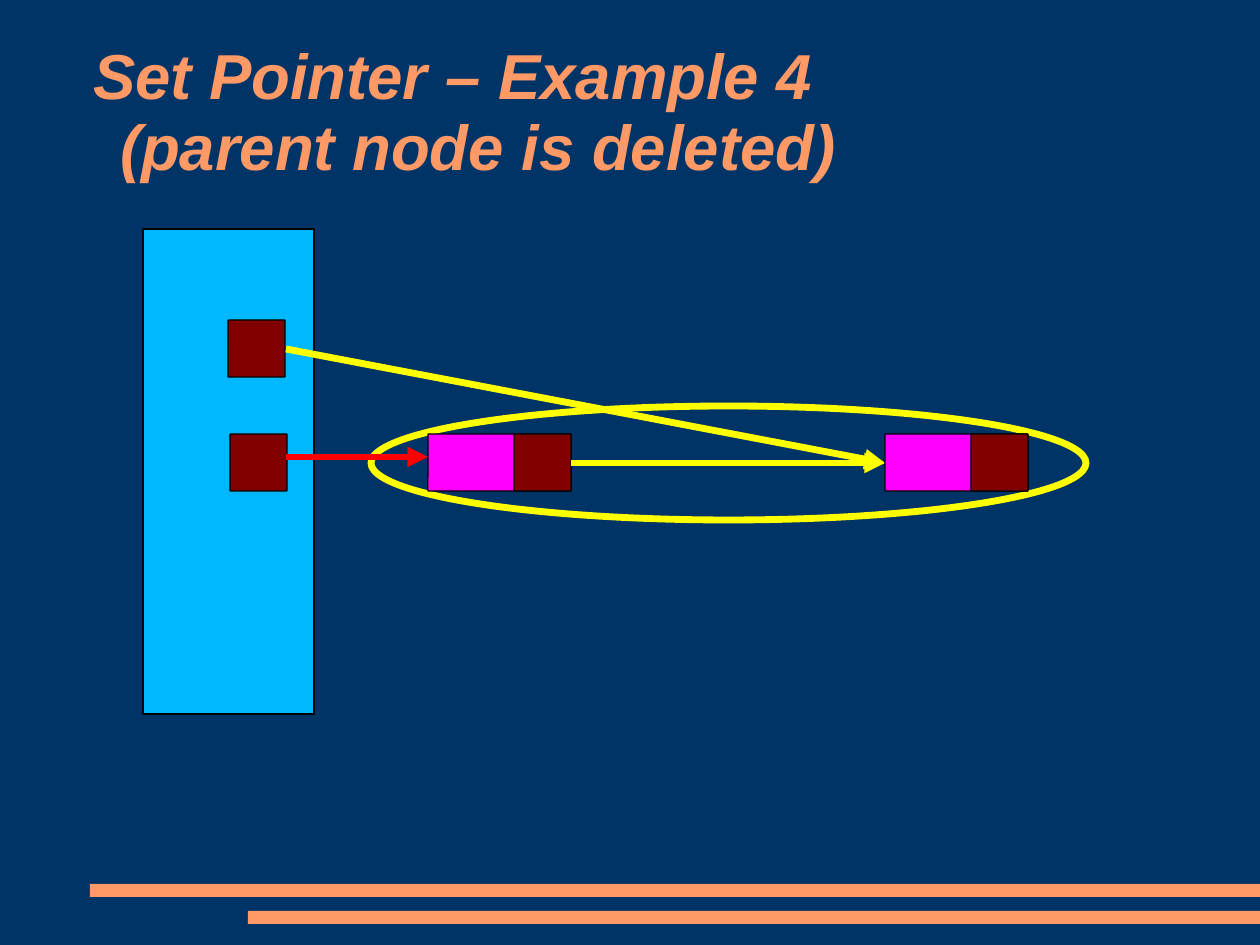
from lxml.etree import SubElement
from pptx import Presentation
from pptx.dml.color import RGBColor
from pptx.enum.shapes import MSO_CONNECTOR, MSO_SHAPE
from pptx.enum.text import MSO_ANCHOR
from pptx.oxml.ns import qn
from pptx.util import Pt

EMU_PER_PX = 8000
PAGE_WIDTH, PAGE_HEIGHT = 1260, 945
CELL = 57
NODE_WIDTH = 143
NODE_TOP = 434
THIN, THICK = 0.75, 4.31
COLORS = {
    "background": "003366",
    "accent": "FF9966",
    "table": "00B8FF",
    "pointer": "800000",
    "data": "FF00FF",
    "outline": "000000",
    "link": "FFFF00",
    "deleted": "FF0000",
}


def px(length):
    return length * EMU_PER_PX


def color(name):
    return RGBColor.from_string(COLORS[name])


def add_figure(page, kind, bounds, fill=None, line=None, width=THIN):
    figure = page.shapes.add_shape(kind, *map(px, bounds))
    figure.shadow.inherit = False
    if fill:
        figure.fill.solid()
        figure.fill.fore_color.rgb = color(fill)
    else:
        figure.fill.background()
    if line:
        figure.line.color.rgb = color(line)
        figure.line.width = Pt(width)
    else:
        figure.line.fill.background()
    return figure


def add_block(page, bounds, fill, line="outline"):
    """Add a box whose corners are rounded almost imperceptibly."""
    block = add_figure(page, MSO_SHAPE.ROUNDED_RECTANGLE, bounds, fill, line)
    block.adjustments[0] = 0.01


def add_pointer_cell(page, left, top):
    add_block(page, (left, top, CELL, CELL), "pointer")


def add_node(page, left):
    """Add a list node: a data field ending in a pointer cell."""
    add_block(page, (left, NODE_TOP, NODE_WIDTH, CELL), "data")
    add_pointer_cell(page, left + NODE_WIDTH - CELL, NODE_TOP)


def add_arrow(page, start, end, line):
    arrow = page.shapes.add_connector(
        MSO_CONNECTOR.STRAIGHT, *map(px, start + end))
    arrow.line.color.rgb = color(line)
    arrow.line.width = Pt(THICK)
    SubElement(arrow.line._get_or_add_ln(), qn("a:tailEnd"), type="triangle")
    SubElement(arrow._element.spPr, qn("a:effectLst"))


def add_title(page, text):
    box = page.shapes.add_textbox(px(93), px(35), px(1076), px(158))
    frame = box.text_frame
    frame.word_wrap = True
    frame.vertical_anchor = MSO_ANCHOR.MIDDLE
    frame.margin_left = frame.margin_right = 0
    frame.margin_top = frame.margin_bottom = 0
    paragraph = frame.paragraphs[0]
    paragraph.text = text
    paragraph.line_spacing = 0.93
    properties = paragraph._p.get_or_add_pPr()
    properties.set("marL", str(px(27)))
    properties.set("indent", str(px(-27)))
    for span in paragraph.runs:
        span.font.name = "Arial"
        span.font.size = Pt(40)
        span.font.bold = span.font.italic = True
        span.font.color.rgb = color("accent")


def main():
    deck = Presentation()
    deck.slide_width, deck.slide_height = px(PAGE_WIDTH), px(PAGE_HEIGHT)
    page = deck.slides.add_slide(deck.slide_layouts[6])
    page.background.fill.solid()
    page.background.fill.fore_color.rgb = color("background")

    for left, top in ((90, 884), (248, 911)):
        add_block(page, (left, top, PAGE_WIDTH - left, 13), "accent", None)
    add_figure(page, MSO_SHAPE.OVAL, (371, 406, 715, 114),
               line="link", width=THICK)
    add_title(page, "Set Pointer – Example 4\v(parent node is deleted)")
    add_figure(page, MSO_SHAPE.RECTANGLE, (143, 229, 171, 485),
               "table", "outline")

    parent, child = 428, 885
    middle = NODE_TOP + CELL // 2 + 1
    add_pointer_cell(page, 228, 320)
    add_node(page, parent)
    for start in ((286, 349), (parent + NODE_WIDTH, middle)):
        add_arrow(page, start, (child, middle), "link")
    add_node(page, child)
    add_pointer_cell(page, 230, NODE_TOP)
    add_arrow(page, (286, 457), (parent, 457), "deleted")

    deck.save("out.pptx")


if __name__ == "__main__":
    main()
